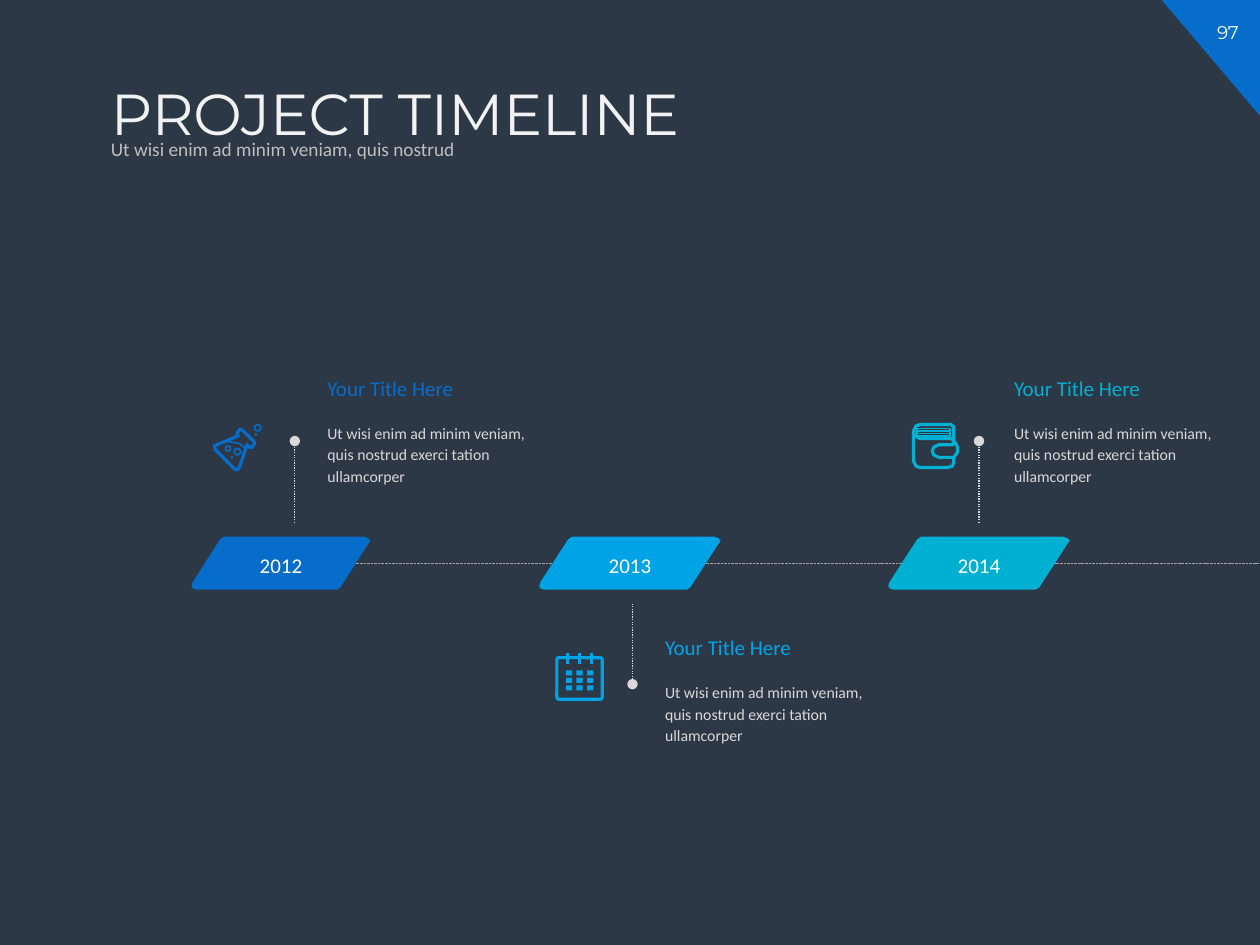
from dataclasses import dataclass
from itertools import product

from lxml import etree
from pptx import Presentation
from pptx.dml.color import RGBColor
from pptx.enum.dml import MSO_LINE
from pptx.enum.shapes import MSO_CONNECTOR, MSO_SHAPE
from pptx.enum.text import MSO_ANCHOR, MSO_AUTO_SIZE, PP_ALIGN
from pptx.oxml.ns import qn
from pptx.util import Inches, Pt

LEFT, CENTER = PP_ALIGN.LEFT, PP_ALIGN.CENTER
TOP, MIDDLE = MSO_ANCHOR.TOP, MSO_ANCHOR.MIDDLE
DASH, DOT = MSO_LINE.SQUARE_DOT, MSO_LINE.ROUND_DOT
RECT, ROUND, OVAL = MSO_SHAPE.RECTANGLE, MSO_SHAPE.ROUNDED_RECTANGLE, MSO_SHAPE.OVAL
WIDTH, HEIGHT = Inches(10), Inches(7.5)
COLS, ROWS = 100, 75
Points = list[tuple[float, float]]


@dataclass(frozen=True)
class Theme:
    back: str = "2D3847"
    blue: str = "066DCA"
    sky: str = "00A4E6"
    teal: str = "00B0D3"
    white: str = "FFFFFF"
    title: str = "F2F2F2"
    lead: str = "BFBFBF"
    body: str = "D9D9D9"
    axis: str = "A6A6A6"
    head: str = "Montserrat"
    font: str = "Calibri"
    big: float = 33
    mid: float = 12
    sub: float = 11
    page: float = 10.5
    small: float = 9
    bold: float = 1.8
    thin: float = 0.9


@dataclass(frozen=True)
class Step:
    year: str
    color: str
    left: float
    wide: float
    stem: float
    text: float
    up: bool


THEME = Theme()
STEPS = [
    Step("2012", THEME.blue, 15.2, 14.2, 23.4, 25, True),
    Step("2013", THEME.sky, 42.8, 14.4, 50.2, 51.8, False),
    Step("2014", THEME.teal, 70.5, 14.4, 77.7, 79.5, True),
]
TAG: Points = [
    (12, 4), (14.2, 0.6), (14.4, 0.3), (14.2, 0.1), (13.9, 0), (2.6, 0),
    (2.3, 0.2), (0.1, 3.6), (0, 3.9), (0.1, 4.1), (0.4, 4.2), (11.7, 4.2),
]
FLASK: Points = [
    (18.8, 34.4), (19, 34.1), (19.2, 34.1), (20.2, 35.1), (20.2, 35.2),
    (20, 35.5), (19.8, 35.5), (19.6, 35.3), (19, 37.1), (18.8, 37.3),
    (18.6, 37.2), (17.1, 35.7), (17, 35.4), (17.2, 35.3), (18.9, 34.6),
]
FLUID: Points = [(17.9, 35), (18.4, 35.1), (19, 35.2), (19.5, 35.6)]
PURSE: Points = [
    (75.7, 35.1), (75.7, 33.9), (75.5, 33.7), (73, 33.7), (72.7, 33.8),
    (72.5, 34.2), (72.5, 36.6), (72.7, 37), (73, 37.1), (75.2, 37.1),
    (75.6, 37), (75.7, 36.6), (75.7, 36.3),
]
FLAP: Points = [(72.5, 34.2), (72.6, 34.6), (73, 34.8), (75.5, 34.8), (75.7, 35)]
CLASP: Points = [
    (75.7, 36.3), (74.5, 36.3), (74.1, 36.1), (74, 35.8), (74.1, 35.5),
    (74.5, 35.3), (75.6, 35.3), (75.8, 35.1), (76, 35.5), (76, 35.9),
]


def col(n: float) -> int:
    return round(WIDTH * n / COLS)


def row(n: float) -> int:
    return round(HEIGHT * n / ROWS)


def rgb(color: str) -> RGBColor:
    return RGBColor.from_string(color)


def paint(shape, color: str, line: float = 0) -> None:
    shape.shadow.inherit = False
    if line:
        shape.fill.background()
        shape.line.color.rgb = rgb(color)
        shape.line.width = Pt(line)
    else:
        shape.fill.solid()
        shape.fill.fore_color.rgb = rgb(color)
        shape.line.fill.background()


def block(shapes, kind, x: float, y: float, w: float, h: float, color: str, line: float = 0):
    shape = shapes.add_shape(kind, col(x), row(y), col(w), row(h))
    paint(shape, color, line)
    return shape


def trace(shapes, points: Points, color: str, line: float = 0, close: bool = True):
    spots = [(col(x), row(y)) for x, y in points]
    pen = shapes.build_freeform(*spots[0])
    pen.add_line_segments(spots[1:], close=close)
    shape = pen.convert_to_shape()
    paint(shape, color, line)
    return shape


def link(shapes, x: float, y: float, x2: float, y2: float, color: str,
         width: float, dash=None, dot: bool = False) -> None:
    wire = shapes.add_connector(MSO_CONNECTOR.STRAIGHT, col(x), row(y), col(x2), row(y2))
    wire.line.color.rgb = rgb(color)
    wire.line.width = Pt(width)
    if dash:
        wire.line.dash_style = dash
    if dot:
        etree.SubElement(wire.line._get_or_add_ln(), qn("a:tailEnd"), type="oval")
    etree.SubElement(wire._element.spPr, qn("a:effectLst"))


def write(shape, text: str, size: float, color: str, font: str = THEME.font, align=LEFT,
          anchor=TOP, wrap: bool = True, space: float = 1, gap: float = 0) -> None:
    frame = shape.text_frame
    frame.text = text
    frame.word_wrap = wrap
    frame.auto_size = MSO_AUTO_SIZE.NONE
    frame.vertical_anchor = anchor
    para = frame.paragraphs[0]
    para.alignment, para.line_spacing, para.space_before = align, space, Pt(gap)
    face = para.runs[0].font
    face.name, face.size, face.color.rgb = font, Pt(size), rgb(color)


def place(shape, x: float, y: float, w: float, h: float):
    shape.left, shape.top, shape.width, shape.height = col(x), row(y), col(w), row(h)
    return shape


def label(shapes, x: float, y: float, w: float, h: float, text: str,
          size: float, color: str, **style) -> None:
    box = shapes.add_textbox(col(x), row(y), col(w), row(h))
    write(box, text, size, color, **style)


def draw_step(shapes, step: Step) -> None:
    points = [(step.left + x * step.wide / 14.4, 42.6 + y) for x, y in TAG]
    tag = trace(shapes, points, step.color)
    write(tag, step.year, THEME.mid, THEME.white, align=CENTER, anchor=MIDDLE, wrap=False)
    tag.text_frame.margin_top, tag.text_frame.margin_bottom = row(0.3), 0
    near, far, top = (41.5, 35, 29.3) if step.up else (47.9, 54.3, 49.9)
    link(shapes, step.stem, near, step.stem, far, THEME.body, 0.75, DOT, True)
    label(shapes, step.text, top, 13, 3, "Your Title Here", THEME.mid, step.color, wrap=False)
    label(shapes, step.text, top + 3.6, 19.1, 6.2,
          "Ut wisi enim ad minim veniam, quis nostrud exerci tation ullamcorper",
          THEME.small, THEME.body, space=1.14, gap=10)


def draw_flask(shapes, color: str) -> None:
    trace(shapes, FLASK, color, THEME.bold)
    trace(shapes, FLUID, color, THEME.thin, False)
    for x, y, size in [(18.6, 35.6, 0.5), (17.9, 35.4, 0.4), (20.2, 33.7, 0.5)]:
        block(shapes, OVAL, x, y, size, size, color, THEME.thin)
    for x, y in [(18.3, 36.2), (20.2, 34.4)]:
        block(shapes, OVAL, x, y, 0.2, 0.2, color)


def draw_dates(shapes, color: str) -> None:
    page = block(shapes, ROUND, 44.2, 52.2, 3.6, 3.3, color, THEME.bold)
    page.adjustments[0] = 0.05
    for i in range(3):
        link(shapes, 45.05 + 0.95 * i, 51.8, 45.05 + 0.95 * i, 52.7, color, THEME.bold)
    for i, j in product(range(3), repeat=2):
        block(shapes, RECT, 44.9 + 0.85 * i, 53.2 + 0.6 * j, 0.5, 0.4, color)


def draw_purse(shapes, color: str) -> None:
    trace(shapes, PURSE, color, THEME.bold, False)
    trace(shapes, FLAP, color, THEME.bold, False)
    trace(shapes, CLASP, color, THEME.bold)
    block(shapes, RECT, 72.8, 34, 2.6, 0.6, color, THEME.thin)
    for y in (34.2, 34.4):
        link(shapes, 72.8, y, 75.4, y, color, THEME.thin)


def main() -> None:
    deck = Presentation()
    deck.slide_width, deck.slide_height = WIDTH, HEIGHT
    slide = deck.slides.add_slide(deck.slide_layouts[0])
    slide.background.fill.solid()
    slide.background.fill.fore_color.rgb = rgb(THEME.back)
    shapes = slide.shapes
    block(shapes, MSO_SHAPE.RIGHT_TRIANGLE, 92.2, 0, 7.8, 9.2, THEME.blue).rotation = 180
    label(shapes, 94.9, 1.2, 5.1, 2.8, "97", THEME.page, THEME.white,
          font=THEME.head, align=CENTER)
    write(place(shapes.title, 7.8, 6.3, 88.6, 7.3), "PROJECT TIMELINE",
          THEME.big, THEME.title, font=THEME.head, space=0.9)
    write(place(slide.placeholders[1], 7.8, 10.6, 72.1, 2.6),
          "Ut wisi enim ad minim veniam, quis nostrud",
          THEME.sub, THEME.lead, anchor=MIDDLE, space=0.9, gap=9)
    link(shapes, 28, 44.7, COLS, 44.7, THEME.axis, 0.5, DASH)
    for step, draw in zip(STEPS, (draw_flask, draw_dates, draw_purse)):
        draw_step(shapes, step)
        draw(shapes.add_group_shape().shapes, step.color)
    deck.save("out.pptx")


if __name__ == "__main__":
    main()
